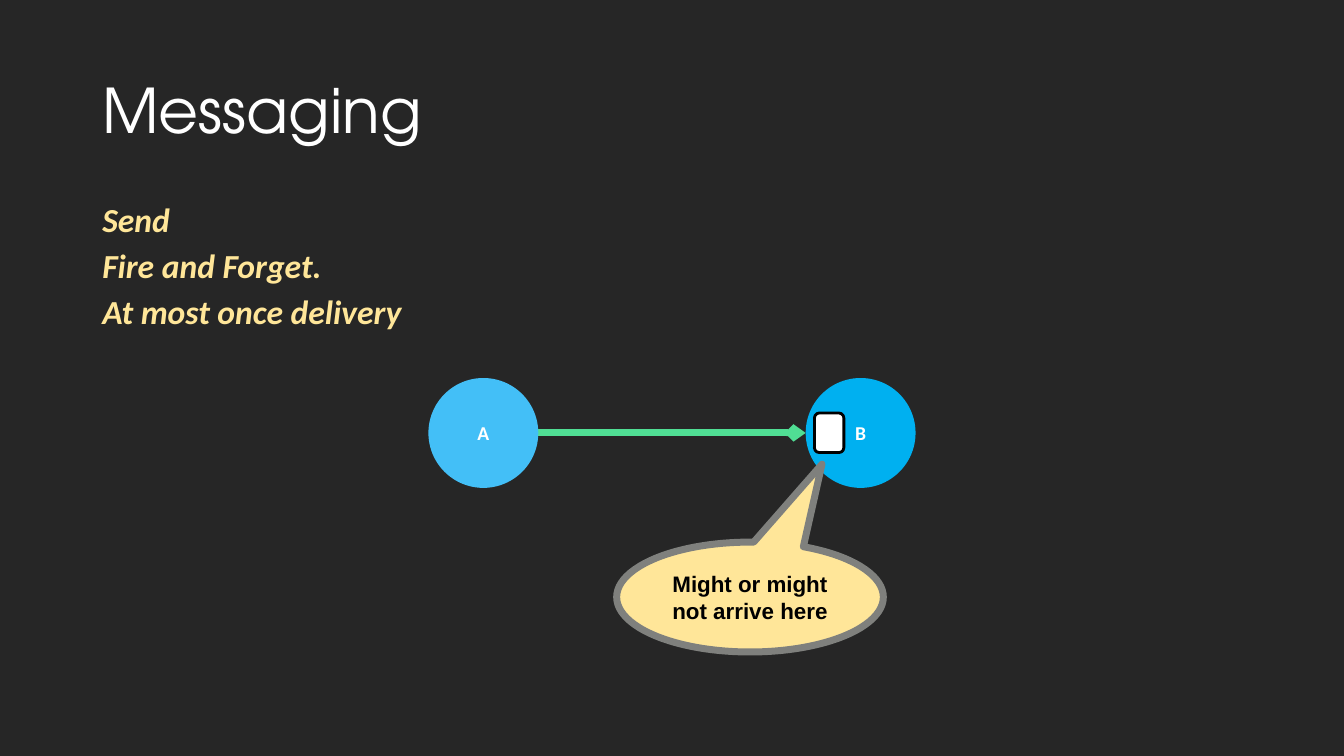
from dataclasses import dataclass

from lxml.etree import SubElement
from pptx import Presentation
from pptx.dml.color import RGBColor
from pptx.enum.shapes import MSO_CONNECTOR, MSO_SHAPE
from pptx.enum.text import MSO_ANCHOR, PP_ALIGN
from pptx.oxml.ns import qn
from pptx.slide import Slide
from pptx.util import Pt

BACKGROUND = RGBColor(0x26, 0x26, 0x26)
WHITE = RGBColor(0xFF, 0xFF, 0xFF)
BLACK = RGBColor(0x00, 0x00, 0x00)
CREAM = RGBColor(0xFF, 0xE6, 0x99)
GREY = RGBColor(0x7F, 0x80, 0x7D)
GREEN = RGBColor(0x50, 0xDE, 0x94)
LIGHT_BLUE = RGBColor(0x43, 0xBF, 0xF7)
BLUE = RGBColor(0x00, 0xB0, 0xF0)

TITLE_FONT = {"name": "TeX Gyre Adventor", "size": Pt(44)}
BODY_FONT = {"name": "Calibri", "size": Pt(24), "bold": True, "italic": True}
NODE_FONT = {"name": "Calibri", "size": Pt(14), "bold": True}
CALLOUT_FONT = {"name": "Arial", "size": Pt(16), "bold": True}

TEXT_LEFT, TEXT_WIDTH = 66, 828
NODE_TOP, NODE_SIZE = 270, 78.5
NODE_A_LEFT, NODE_B_LEFT = 306, 575.5


@dataclass(frozen=True)
class Box:
    left: float
    top: float
    width: float
    height: float

    def lengths(self) -> tuple[Pt, ...]:
        return tuple(Pt(v) for v in (self.left, self.top, self.width, self.height))


@dataclass(frozen=True)
class TextBlock:
    box: Box
    lines: tuple[str, ...]
    font: dict
    colour: RGBColor
    anchor: MSO_ANCHOR
    line_spacing: float


@dataclass(frozen=True)
class Figure:
    preset: MSO_SHAPE
    box: Box
    fill: RGBColor
    outline: RGBColor | None = None
    outline_width: float = 0
    text: str = ""
    font: dict | None = None
    text_colour: RGBColor = WHITE
    adjustments: tuple[float, ...] = ()


TEXT_BLOCKS = (
    TextBlock(Box(TEXT_LEFT, 144, TEXT_WIDTH, 97),
              ("Send", "Fire and Forget.", "At most once delivery"),
              BODY_FONT, CREAM, MSO_ANCHOR.TOP, 0.8),
    TextBlock(Box(TEXT_LEFT, 28.75, TEXT_WIDTH, 104.4), ("Messaging",),
              TITLE_FONT, WHITE, MSO_ANCHOR.MIDDLE, 0.9),
)
FIGURES = (
    Figure(MSO_SHAPE.OVAL, Box(NODE_A_LEFT, NODE_TOP, NODE_SIZE, NODE_SIZE),
           LIGHT_BLUE, text="A", font=NODE_FONT),
    Figure(MSO_SHAPE.OVAL, Box(NODE_B_LEFT, NODE_TOP, NODE_SIZE, NODE_SIZE),
           BLUE, text="B", font=NODE_FONT),
    Figure(MSO_SHAPE.OVAL_CALLOUT, Box(440.5, 387.25, 190.5, 78.5), CREAM, GREY, 5,
           "Might or might not arrive here", CALLOUT_FONT, BLACK, (0.27, -1.21)),
    Figure(MSO_SHAPE.ROUNDED_RECTANGLE, Box(581.75, 295, 21, 28.25), WHITE, BLACK, 2),
)


def apply_font(font, values: dict, colour: RGBColor) -> None:
    for name, value in values.items():
        setattr(font, name, value)
    font.color.rgb = colour


def add_text_block(slide: Slide, block: TextBlock) -> None:
    frame = slide.shapes.add_textbox(*block.box.lengths()).text_frame
    frame.word_wrap = True
    frame.vertical_anchor = block.anchor
    for index, line in enumerate(block.lines):
        paragraph = frame.add_paragraph() if index else frame.paragraphs[0]
        paragraph.text = line
        paragraph.line_spacing = block.line_spacing
        paragraph.space_before = Pt(10 if index else 0)
        apply_font(paragraph.font, block.font, block.colour)


def add_figure(slide: Slide, figure: Figure) -> None:
    shape = slide.shapes.add_shape(figure.preset, *figure.box.lengths())
    shape.shadow.inherit = False
    shape.fill.solid()
    shape.fill.fore_color.rgb = figure.fill
    for index, value in enumerate(figure.adjustments):
        shape.adjustments[index] = value
    if figure.outline is None:
        shape.line.fill.background()
    else:
        shape.line.color.rgb = figure.outline
        shape.line.width = Pt(figure.outline_width)
    if figure.text:
        frame = shape.text_frame
        frame.word_wrap = True
        frame.vertical_anchor = MSO_ANCHOR.MIDDLE
        paragraph = frame.paragraphs[0]
        paragraph.text = figure.text
        paragraph.alignment = PP_ALIGN.CENTER
        apply_font(paragraph.font, figure.font, figure.text_colour)


def add_message_arrow(slide: Slide) -> None:
    middle = Pt(NODE_TOP + NODE_SIZE / 2)
    arrow = slide.shapes.add_connector(
        MSO_CONNECTOR.STRAIGHT, Pt(NODE_A_LEFT + NODE_SIZE), middle, Pt(NODE_B_LEFT), middle)
    arrow.line.color.rgb = GREEN
    arrow.line.width = Pt(5)
    properties = arrow.line._get_or_add_ln()
    SubElement(properties, qn("a:tailEnd"), type="arrow", w="sm", len="sm")
    SubElement(properties.getparent(), qn("a:effectLst"))


def main() -> None:
    presentation = Presentation()
    presentation.slide_width, presentation.slide_height = Pt(960), Pt(540)
    slide = presentation.slides.add_slide(presentation.slide_layouts[6])
    slide.background.fill.solid()
    slide.background.fill.fore_color.rgb = BACKGROUND
    for block in TEXT_BLOCKS:
        add_text_block(slide, block)
    add_message_arrow(slide)
    for figure in FIGURES:
        add_figure(slide, figure)
    presentation.save("out.pptx")


if __name__ == "__main__":
    main()
